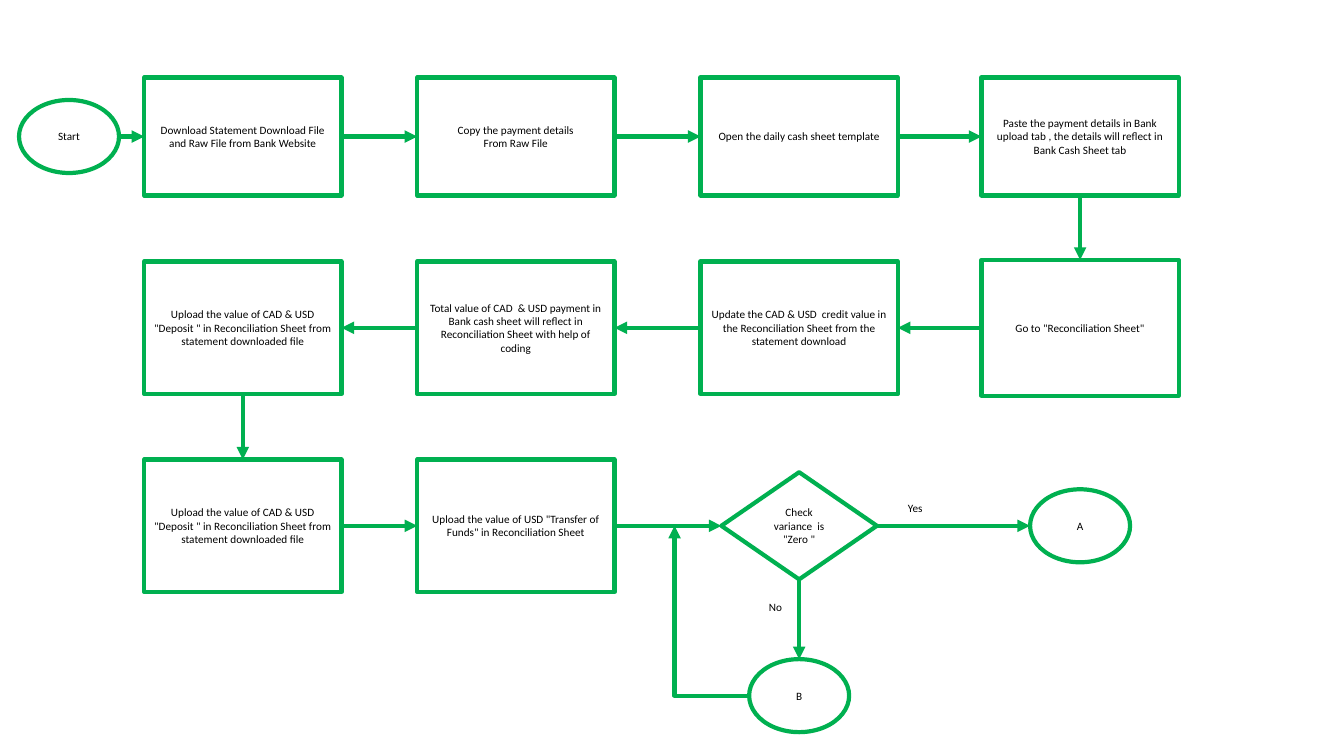
from lxml import etree
from pptx import Presentation
from pptx.dml.color import RGBColor
from pptx.enum.shapes import MSO_CONNECTOR, MSO_SHAPE
from pptx.enum.text import MSO_ANCHOR, MSO_AUTO_SIZE, PP_ALIGN
from pptx.oxml.ns import qn
from pptx.util import Cm, Pt

PROCESS = MSO_SHAPE.FLOWCHART_PROCESS
DECISION = MSO_SHAPE.FLOWCHART_DECISION
TERMINAL = MSO_SHAPE.FLOWCHART_CONNECTOR
STRAIGHT = MSO_CONNECTOR.STRAIGHT
ELBOW = MSO_CONNECTOR.ELBOW
CENTER = PP_ALIGN.CENTER
LEFT = PP_ALIGN.LEFT
MIDDLE = MSO_ANCHOR.MIDDLE
GROW = MSO_AUTO_SIZE.SHAPE_TO_FIT_TEXT

GREEN = RGBColor(0x00, 0xB0, 0x50)
WHITE = RGBColor(0xFF, 0xFF, 0xFF)
BLACK = RGBColor(0x00, 0x00, 0x00)
LINE_WIDTH = Pt(3)

COLUMNS = (6.12, 13.0, 20.14, 27.22)
ROWS = (3.44, 8.26, 13.25)
START_X = 1.74
RETRY_Y = 17.53
LOOP_X = 17.0
BOX_WIDTH = 4.97
TOP_SIZE = (BOX_WIDTH, 2.97)
BOX_SIZE = (BOX_WIDTH, 3.34)
TALL_SIZE = (BOX_WIDTH, 3.42)
DECISION_SIZE = (3.92, 2.7)
TERMINAL_SIZE = (2.52, 1.84)

DEPOSIT = 'Upload the value of CAD & USD "Deposit " in Reconciliation Sheet from statement downloaded file'
TOP_STEPS = (
    ("Download Statement Download File and Raw File from Bank Website",),
    ("Copy the payment details", "From Raw File"),
    ("Open the daily cash sheet template",),
    ("Paste the payment details in Bank upload tab , the details will reflect in Bank Cash Sheet tab",),
)
MIDDLE_STEPS = (
    (DEPOSIT,),
    ("Total value of CAD  & USD payment in Bank cash sheet will reflect in Reconciliation Sheet with help of coding",),
    ("Update the CAD & USD  credit value in the Reconciliation Sheet from the statement download",),
)
BOTTOM_STEPS = (
    (DEPOSIT,),
    ('Upload the value of USD "Transfer of Funds" in Reconciliation Sheet',),
)


def write(frame, lines, align):
    """Write each line as a paragraph of small black text."""
    frame.word_wrap = True
    for index, line in enumerate(lines):
        para = frame.add_paragraph() if index else frame.paragraphs[0]
        para.alignment = align
        span = para.add_run()
        span.text = line
        span.font.name = "Calibri"
        span.font.size = Pt(8)
        span.font.color.rgb = BLACK


def add_node(page, kind, x, y, size, lines):
    """Add a green outlined node centred on x, y in centimetres."""
    width, height = size
    box = page.shapes.add_shape(
        kind, Cm(x - width / 2), Cm(y - height / 2), Cm(width), Cm(height))
    box.shadow.inherit = False
    box.fill.solid()
    box.fill.fore_color.rgb = WHITE
    box.line.color.rgb = GREEN
    box.line.width = LINE_WIDTH
    box.text_frame.vertical_anchor = MIDDLE
    write(box.text_frame, lines, CENTER)
    return box


def add_row(page, y, size, steps):
    """Add a row of process boxes from the first column on."""
    return [add_node(page, PROCESS, x, y, size, lines)
            for x, lines in zip(COLUMNS, steps)]


def style_arrow(arrow):
    """Make a connector green with a triangle at its end."""
    arrow.line.color.rgb = GREEN
    arrow.line.width = LINE_WIDTH
    properties = arrow._element.spPr
    outline = properties.find(qn("a:ln"))
    etree.SubElement(outline, qn("a:tailEnd"), type="triangle")
    etree.SubElement(properties, qn("a:effectLst"))


def add_arrow(page, start, end):
    """Join two nodes in the same row or column, edge to edge."""
    start_x = start.left + start.width // 2
    start_y = start.top + start.height // 2
    end_x, end_y = start_x, start_y
    if end.left >= start.left + start.width:
        start_x, end_x = start.left + start.width, end.left
    elif end.left + end.width <= start.left:
        start_x, end_x = start.left, end.left + end.width
    else:
        start_y, end_y = start.top + start.height, end.top
    style_arrow(page.shapes.add_connector(STRAIGHT, start_x, start_y, end_x, end_y))


def add_loop(page, start, x, y):
    """Lead an elbow arrow left from a node and up to x, y."""
    arrow = page.shapes.add_connector(
        ELBOW, Cm(x), Cm(y), start.left, start.top + start.height // 2)
    properties = arrow._element.spPr
    properties.find(qn("a:prstGeom")).set("prst", "bentConnector2")
    properties.find(qn("a:xfrm")).set("rot", "10800000")
    style_arrow(arrow)


def add_label(page, x, y, text):
    """Add a branch label with its corner at x, y."""
    box = page.shapes.add_textbox(Cm(x), Cm(y), Cm(1.83), Cm(0.6))
    write(box.text_frame, (text,), LEFT)
    box.text_frame.auto_size = GROW


def main():
    """Build the reconciliation flowchart."""
    deck = Presentation()
    deck.slide_width, deck.slide_height = Cm(33.87), Cm(19.05)
    page = deck.slides.add_slide(deck.slide_layouts[6])

    start = add_node(page, TERMINAL, START_X, ROWS[0], TERMINAL_SIZE, ("Start",))
    top = add_row(page, ROWS[0], TOP_SIZE, TOP_STEPS)
    middle = add_row(page, ROWS[1], BOX_SIZE, MIDDLE_STEPS)
    sheet = add_node(page, PROCESS, COLUMNS[3], ROWS[1], TALL_SIZE,
                     ('Go to "Reconciliation Sheet"',))
    bottom = add_row(page, ROWS[2], BOX_SIZE, BOTTOM_STEPS)
    check = add_node(page, DECISION, COLUMNS[2], ROWS[2], DECISION_SIZE,
                     ('Check variance  is "Zero "',))
    done = add_node(page, TERMINAL, COLUMNS[3], ROWS[2], TERMINAL_SIZE, ("A",))
    retry = add_node(page, TERMINAL, COLUMNS[2], RETRY_Y, TERMINAL_SIZE, ("B",))

    flow = [start, *top, sheet, *reversed(middle), *bottom, check, done]
    for before, after in zip(flow, flow[1:]):
        add_arrow(page, before, after)
    add_arrow(page, check, retry)
    add_loop(page, retry, LOOP_X, ROWS[2])

    add_label(page, 22.63, 12.52, "Yes")
    add_label(page, 19.13, 15.01, "No")
    deck.save("out.pptx")


if __name__ == "__main__":
    main()
